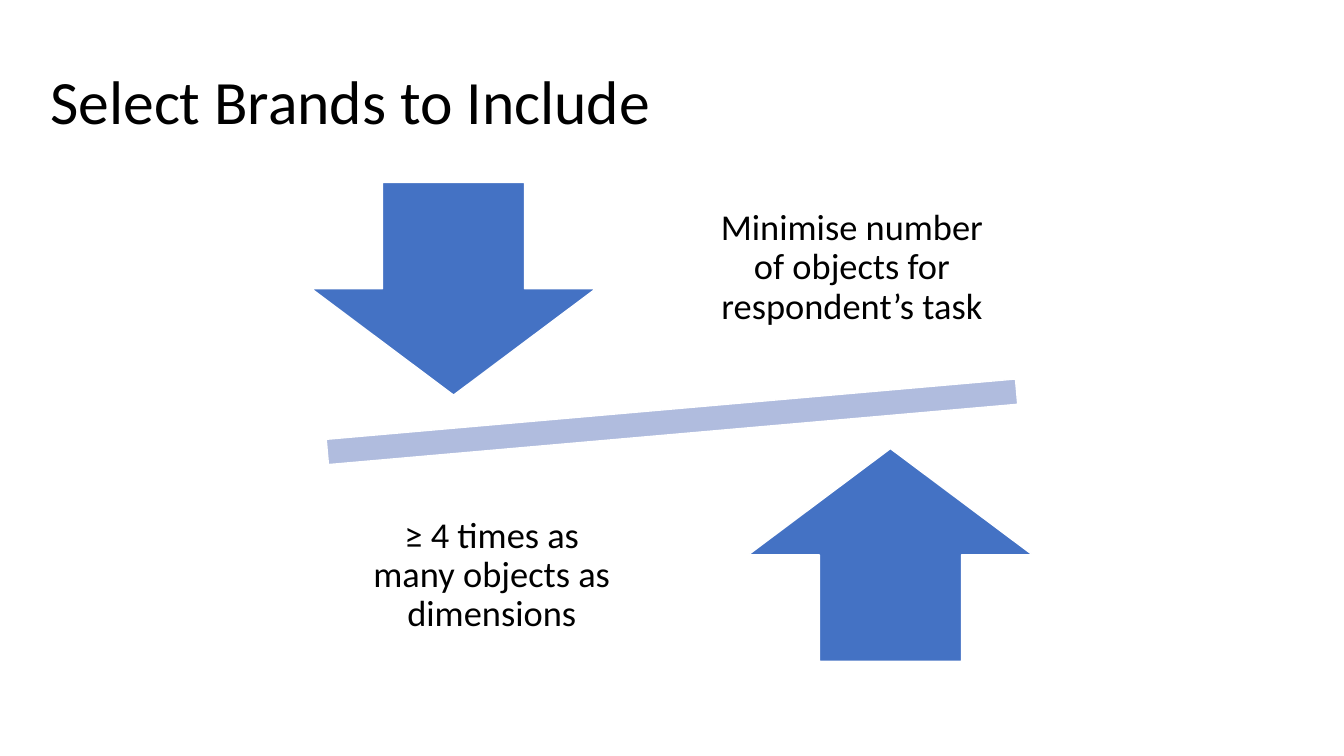
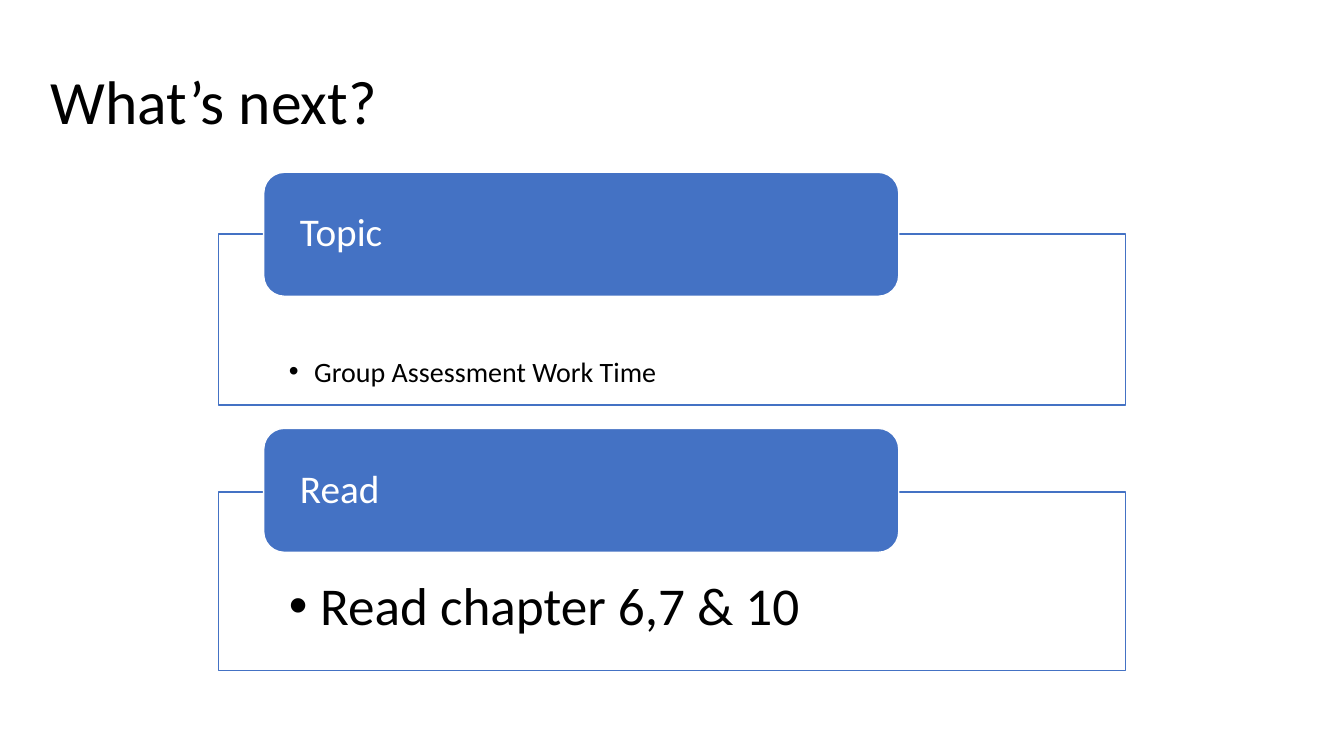
import pptx
import pptx.util
import pptx.dml.color
import pptx.enum.shapes
import pptx.enum.text

BLACK = pptx.dml.color.RGBColor(0x00, 0x00, 0x00)
WHITE = pptx.dml.color.RGBColor(0xFF, 0xFF, 0xFF)
BLUE = pptx.dml.color.RGBColor(0x44, 0x72, 0xC4)
PALE_BLUE = pptx.dml.color.RGBColor(0xB0, 0xBC, 0xDE)

SHAPES = pptx.enum.shapes.MSO_SHAPE
ALIGN = pptx.enum.text.PP_ALIGN
ANCHOR = pptx.enum.text.MSO_ANCHOR

COLUMNS, ROWS = 40, 30
TITLE_ONLY, TWO_CONTENT = 5, 3


class Deck:
    font_name = "Calibri"
    line_spacing = 0.9
    title_area = (1.2, 1, 37.6, 4.68)
    title_insets = (0.1, 0.05, 0.1, 0.05)

    def __init__(self):
        self.presentation = pptx.Presentation()
        self.presentation.slide_width = pptx.util.Inches(13.333)
        self.presentation.slide_height = pptx.util.Inches(7.5)
        self.slide = None

    def area(self, left, top, width, height):
        column = self.presentation.slide_width / COLUMNS
        row = self.presentation.slide_height / ROWS
        return (round(left * column), round(top * row),
                round(width * column), round(height * row))

    def centred(self, x, y, width, height):
        return x - width / 2, y - height / 2, width, height

    def place(self, shape, area):
        shape.left, shape.top, shape.width, shape.height = self.area(*area)

    def set_text(self, shape, text, size, color, align, anchor, insets):
        frame = shape.text_frame
        frame.text = text
        frame.word_wrap = True
        frame.auto_size = pptx.enum.text.MSO_AUTO_SIZE.NONE
        frame.vertical_anchor = anchor
        (frame.margin_left, frame.margin_top,
         frame.margin_right, frame.margin_bottom) = map(pptx.util.Inches, insets)
        paragraph = frame.paragraphs[0]
        paragraph.alignment = align
        paragraph.line_spacing = self.line_spacing
        paragraph.space_before = pptx.util.Pt(0)
        for run in paragraph.runs:
            run.font.name = self.font_name
            run.font.size = pptx.util.Pt(size)
            run.font.color.rgb = color
        return paragraph

    def paint(self, shape, fill, line):
        shape.fill.solid()
        shape.fill.fore_color.rgb = fill
        shape.line.color.rgb = line
        shape.line.width = pptx.util.Pt(1)

    def add_slide(self, layout, title):
        layouts = self.presentation.slide_layouts
        self.slide = self.presentation.slides.add_slide(layouts[layout])
        placeholder = self.slide.shapes.title
        self.place(placeholder, self.title_area)
        self.set_text(placeholder, title, 44, BLACK, ALIGN.LEFT, ANCHOR.BOTTOM,
                      self.title_insets)

    def add_shape(self, kind, area, fill, rotation=0):
        shape = self.slide.shapes.add_shape(kind, *self.area(*area))
        shape.shadow.inherit = False
        shape.rotation = rotation
        self.paint(shape, fill, WHITE)
        return shape

    def add_caption(self, text, area):
        box = self.slide.shapes.add_textbox(*self.area(*area))
        self.set_text(box, text, 26, BLACK, ALIGN.CENTER, ANCHOR.MIDDLE, (0.2,) * 4)

    def add_panel(self, index, text, size, area, top_inset, indent):
        panel = self.slide.placeholders[index]
        self.place(panel, area)
        self.paint(panel, WHITE, BLUE)
        paragraph = self.set_text(panel, text, size, BLACK, ALIGN.LEFT, ANCHOR.TOP,
                                  (0.7, top_inset, 0.7, 0.1))
        properties = paragraph._p.get_or_add_pPr()
        properties.set("marL", str(pptx.util.Inches(indent)))
        properties.set("indent", str(-pptx.util.Inches(indent)))

    def add_header(self, text, area):
        header = self.add_shape(SHAPES.ROUNDED_RECTANGLE, area, BLUE)
        self.set_text(header, text, 28, WHITE, ALIGN.LEFT, ANCHOR.MIDDLE,
                      (0.3, 0, 0.3, 0))


def add_balance_slide(deck):
    deck.add_slide(TITLE_ONLY, "Select Brands to Include")
    pivot_x, pivot_y = 20, 16.74
    deck.add_shape(SHAPES.MATH_MINUS,
                   deck.centred(pivot_x, pivot_y, 28.02, 4.28), PALE_BLUE, 355)
    sides = (
        (1, SHAPES.DOWN_ARROW, "Minimise number of objects for respondent’s task"),
        (-1, SHAPES.UP_ARROW, "≥ 4 times as many objects as dimensions"),
    )
    for sign, arrow, caption in sides:
        deck.add_shape(arrow, deck.centred(pivot_x - sign * 6.5, pivot_y - sign * 5.28,
                                           8.46, 8.44), BLUE)
        deck.add_caption(caption, deck.centred(pivot_x + sign * 5.36,
                                               pivot_y - sign * 6.1, 9.03, 8.88))


def add_next_slide(deck):
    deck.add_slide(TWO_CONTENT, "What’s next?")
    left, width = 6.5, 27
    sections = (
        ("Topic", 6.84, "Group Assessment Work Time", 20, 9.28, 6.8, 1.23, 0.25),
        ("Read", 17, "Read chapter 6,7 & 10", 38, 19.52, 7.08, 0.87, 0.31),
    )
    for index, section in enumerate(sections, start=1):
        heading, header_top, text, size, top, height, top_inset, indent = section
        deck.add_panel(index, text, size, (left, top, width, height),
                       top_inset, indent)
        deck.add_header(heading, (left + 0.05 * width, header_top,
                                  0.7 * width, 4.92))


def main():
    deck = Deck()
    add_balance_slide(deck)
    add_next_slide(deck)
    deck.presentation.save("out.pptx")


if __name__ == "__main__":
    main()
